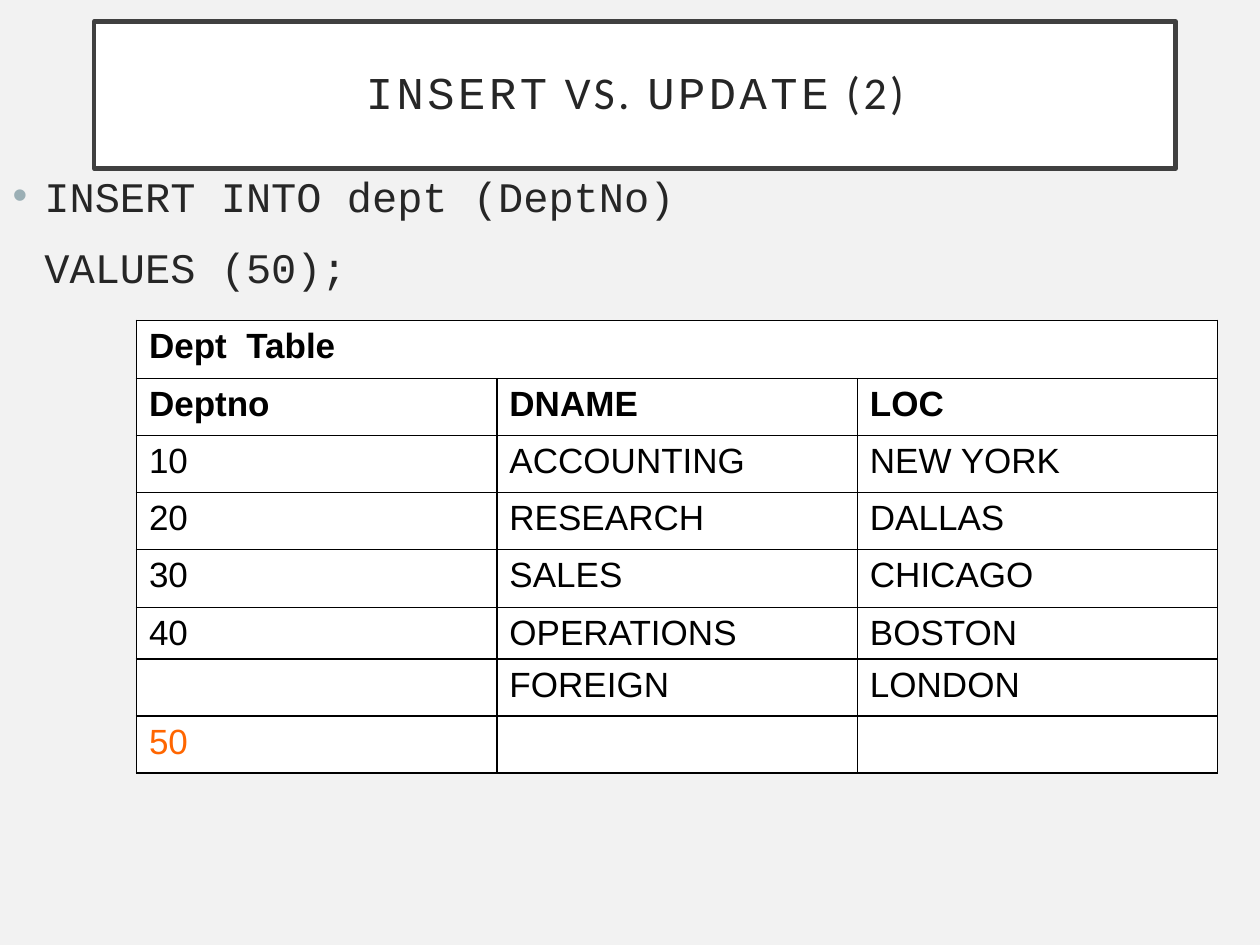
import dataclasses

import pptx
import pptx.dml.color
import pptx.enum.text
import pptx.oxml.ns
import pptx.util
from lxml import etree

Cm = pptx.util.Cm
Pt = pptx.util.Pt
INK = "262626"
BLACK = "000000"
WHITE = "FFFFFF"
CODE_FONT = "Courier New"


@dataclasses.dataclass
class TableRow:
    height: float
    values: tuple[str, ...]
    bold: bool = False
    color: str = BLACK


DEPT_ROWS = [
    TableRow(1.17, ("Dept  Table", "", ""), bold=True),
    TableRow(1.15, ("Deptno", "DNAME", "LOC"), bold=True),
    TableRow(1.15, ("10", "ACCOUNTING", "NEW YORK")),
    TableRow(1.15, ("20", "RESEARCH", "DALLAS")),
    TableRow(1.17, ("30", "SALES", "CHICAGO")),
    TableRow(0.86, ("40", "OPERATIONS", "BOSTON")),
    TableRow(1.15, ("", "FOREIGN", "LONDON")),
    TableRow(1.15, ("50", "", ""), color="FF6600"),
]
TITLE_SPANS = [("INSERT", CODE_FONT), (" VS. ", "Calibri"),
               ("UPDATE", CODE_FONT), (" (2)", "Calibri")]


def rgb(value: str) -> pptx.dml.color.RGBColor:
    return pptx.dml.color.RGBColor.from_string(value)


def paint(fill, color: str) -> None:
    fill.solid()
    fill.fore_color.rgb = rgb(color)


def style(font, name: str, size: float, color: str, bold: bool = False) -> None:
    font.name = name
    font.size = Pt(size)
    font.bold = bold
    font.color.rgb = rgb(color)


def place(shape, left: float, top: float, width: float, height: float) -> None:
    """Position a shape, in centimetres."""
    shape.left, shape.top = Cm(left), Cm(top)
    shape.width, shape.height = Cm(width), Cm(height)


def add_element(parent, tag: str, **attributes: str):
    return etree.SubElement(parent, pptx.oxml.ns.qn(tag), **attributes)


def fill_title(title) -> None:
    place(title, 1.9, 0.43, 21.8, 2.97)
    paint(title.fill, WHITE)
    title.line.color.rgb = rgb("404040")
    title.line.width = Pt(2.5)
    frame = title.text_frame
    frame.auto_size = pptx.enum.text.MSO_AUTO_SIZE.NONE
    frame.vertical_anchor = pptx.enum.text.MSO_ANCHOR.MIDDLE
    para = frame.paragraphs[0]
    para.alignment = pptx.enum.text.PP_ALIGN.CENTER
    para.line_spacing = 0.9
    for text, font_name in TITLE_SPANS:
        span = para.add_run()
        span.text = text
        style(span.font, font_name, 26, INK)
        span.font._element.set("spc", "200")


def fill_statement(body) -> None:
    place(body, 0, 3.1, 21.16, 4.09)
    frame = body.text_frame
    frame.auto_size = pptx.enum.text.MSO_AUTO_SIZE.NONE
    frame.vertical_anchor = pptx.enum.text.MSO_ANCHOR.TOP
    frame.text = "INSERT INTO dept (DeptNo)\nVALUES (50);"
    first, second = frame.paragraphs
    for para, indent in ((first, -0.64), (second, 0)):
        properties = para._p.get_or_add_pPr()
        properties.set("marL", str(Cm(0.64)))
        properties.set("indent", str(Cm(indent)))
        if para is first:
            color = add_element(properties, "a:buClr")
            add_element(color, "a:srgbClr", val="9BAFB5")
            add_element(properties, "a:buFont", typeface="Arial")
            add_element(properties, "a:buChar", char="•")
        else:
            add_element(properties, "a:buNone")
        para.line_spacing = 1.2
        para.space_before = Pt(0 if para is first else 6)
        for span in para.runs:
            style(span.font, CODE_FONT, 24, INK)


def add_borders(cell) -> None:
    properties = cell._tc.get_or_add_tcPr()
    for side in ("a:lnL", "a:lnR", "a:lnT", "a:lnB"):
        line = add_element(properties, side, w=str(Pt(1)))
        fill = add_element(line, "a:solidFill")
        add_element(fill, "a:srgbClr", val=BLACK)


def add_dept_table(page) -> None:
    columns = len(DEPT_ROWS[0].values)
    height = sum(row.height for row in DEPT_ROWS)
    table = page.shapes.add_table(len(DEPT_ROWS), columns, Cm(2.75), Cm(6.46),
                                  Cm(21.8), Cm(height)).table
    table.first_row = table.horz_banding = False
    for row_number, row in enumerate(DEPT_ROWS):
        table.rows[row_number].height = Cm(row.height)
        for column, value in enumerate(row.values):
            cell = table.cell(row_number, column)
            add_borders(cell)
            paint(cell.fill, WHITE)
            cell.text_frame.text = value
            for span in cell.text_frame.paragraphs[0].runs:
                style(span.font, "Arial", 20, row.color, row.bold)
    table.cell(0, 0).merge(table.cell(0, columns - 1))


def main() -> None:
    deck = pptx.Presentation()
    deck.slide_width, deck.slide_height = Cm(25.4), Cm(19.05)
    page = deck.slides.add_slide(deck.slide_layouts[1])
    paint(page.background.fill, "F2F2F2")
    fill_title(page.shapes.title)
    fill_statement(page.placeholders[1])
    add_dept_table(page)
    deck.save("out.pptx")


if __name__ == "__main__":
    main()
